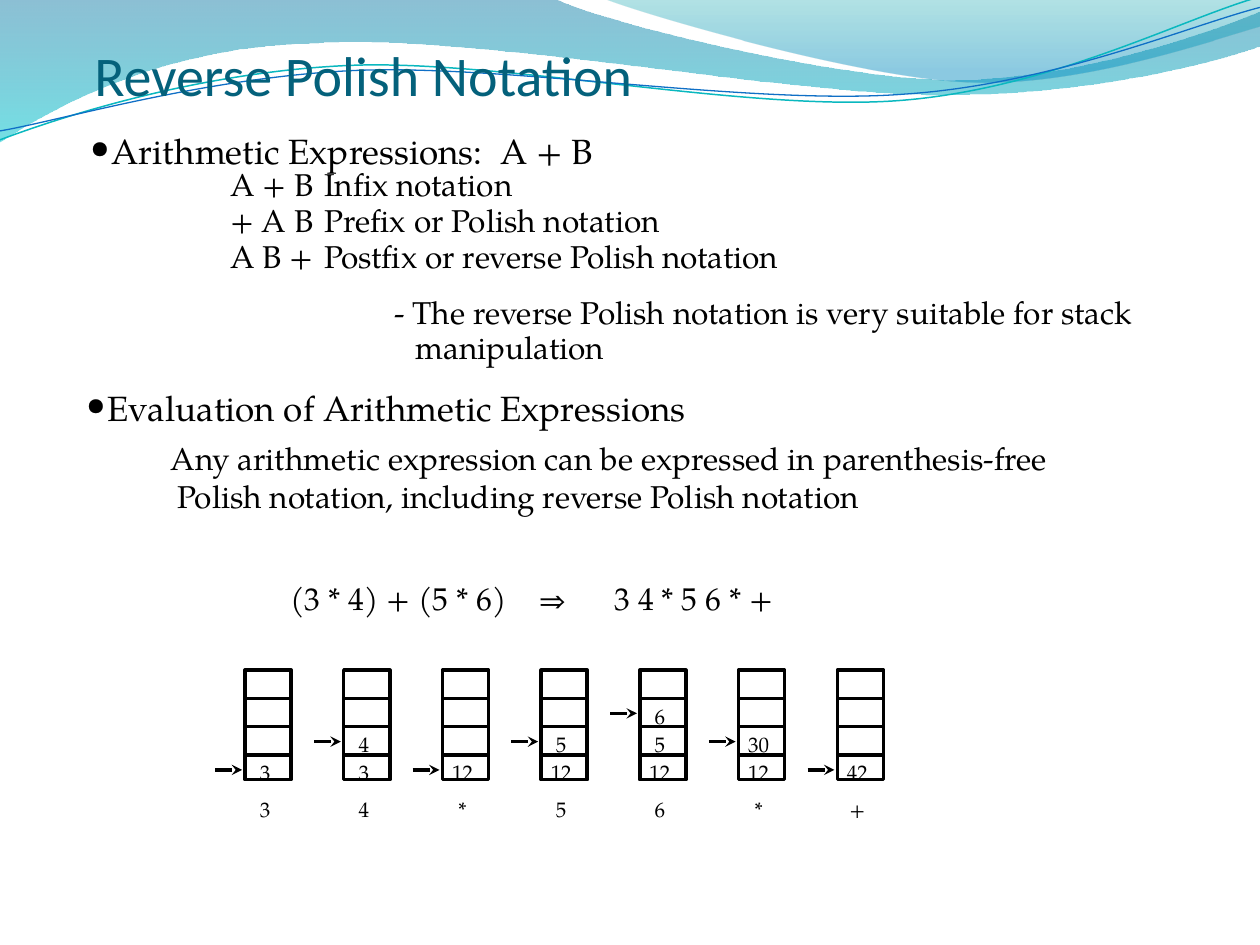
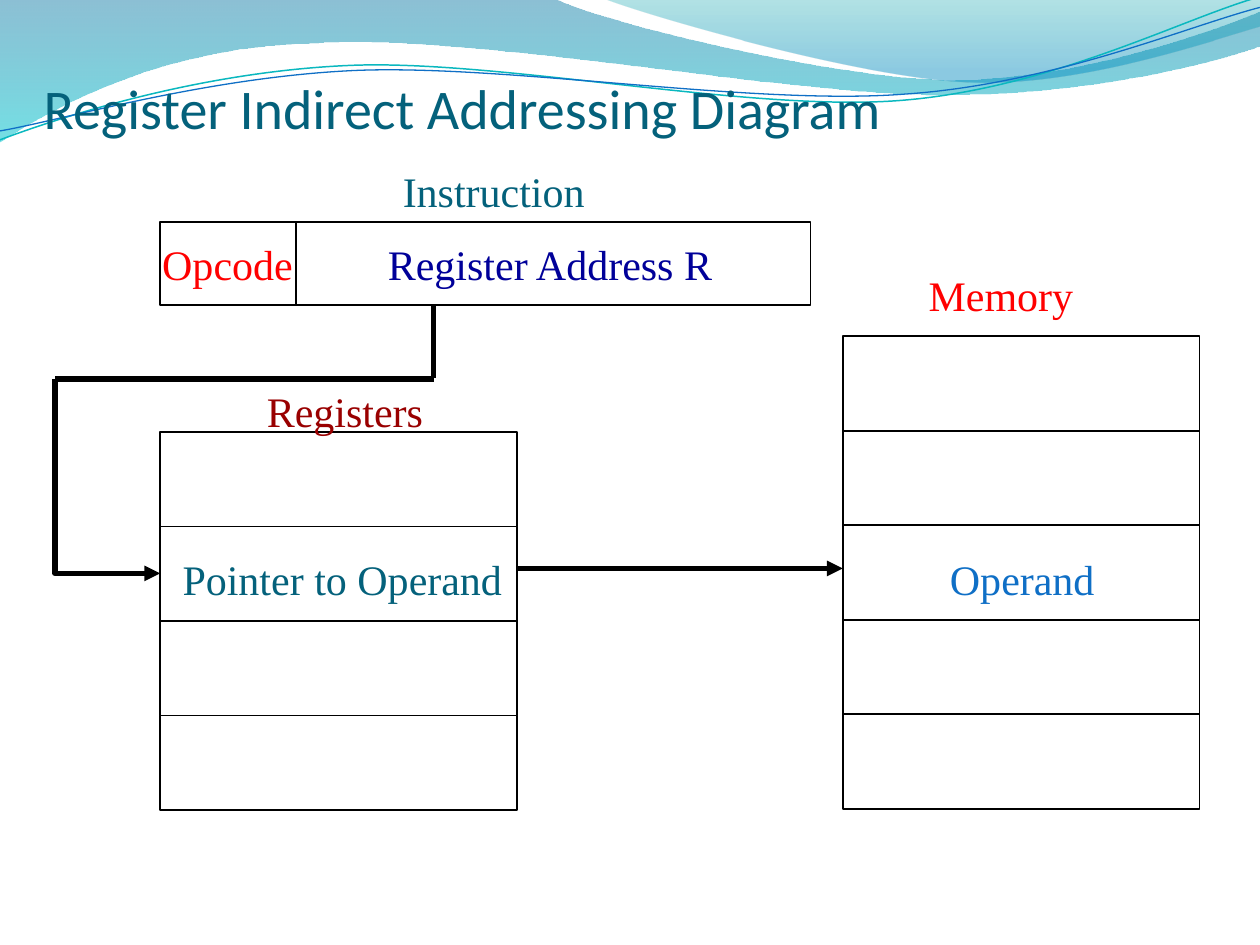
from lxml import etree
from pptx import Presentation
from pptx.dml.color import RGBColor
from pptx.enum.shapes import MSO_CONNECTOR, MSO_SHAPE
from pptx.enum.text import MSO_ANCHOR, MSO_AUTO_SIZE, PP_ALIGN
from pptx.oxml.ns import qn
from pptx.util import Cm, Pt

RECTANGLE = MSO_SHAPE.RECTANGLE
STRAIGHT = MSO_CONNECTOR.STRAIGHT
LEFT, CENTER = PP_ALIGN.LEFT, PP_ALIGN.CENTER
TOP, MIDDLE, BOTTOM = MSO_ANCHOR.TOP, MSO_ANCHOR.MIDDLE, MSO_ANCHOR.BOTTOM
NO_AUTOFIT = MSO_AUTO_SIZE.NONE

TITLE_FONT, BODY_FONT, DIAGRAM_FONT = "Calibri", "TeX Gyre Pagella", "Times New Roman"
BLACK, TEAL, BLUE, NAVY = "000000", "04617B", "0F6FC6", "000099"
RED, DARK_RED, CYAN = "FF0000", "990000", "0AB8BF"
# Insets in cm: sides, top, bottom
WIDE_INSET, SLIM_INSET, TITLE_INSET = (0.25, 0.13, 0.13), (0.17, 0.07, 0.07), (0, 0.13, 0)
BULLET_INDENT = (0.43, -0.43)
CELL_WIDTH, CELL_HEIGHT = 7.19, 7.62 / 4

# Wave outlines in cm: a start point, then lines (x, y) and curves (six numbers)
WAVE_BANDS = [
    ([(0, 0), (11.18, -0.03), (12.09, 0.43, 16.87, 1.6, 19.25, 1.6),
      (21.67, 1.6, 24.33, 0.66, 25.4, 0.23), (25.43, 0.91),
      (24.97, 1.12, 22.1, 1.93, 18.95, 1.91), (15.8, 1.91, 9.7, 0.71, 6.53, 0.86),
      (3.28, 0.91, 1.17, 2.11, -0.03, 2.87)],
     [(0, "0074A1", 45), (1, "00C6CF", 55)]),
    ([(12.17, -0.03), (12.93, 0.28, 17.32, 1.57, 19.53, 1.65),
      (21.74, 1.75, 24.41, 0.81, 25.4, 0.53), (25.4, 0)],
     [(0, "00A1A9", 30), (0.8, "008BBF", 45)]),
]
WAVE_LINES = [
    ([(0, 2.82), (1.22, 2.36, 4.01, 1.45, 7.04, 1.32),
      (10.03, 1.19, 15.06, 2.26, 18.11, 2.03),
      (21.16, 1.8, 23.83, 0.38, 25.35, -0.05)], CYAN, 0.85),
    ([(0, 2.64), (1.19, 2.44, 4.17, 1.55, 7.19, 1.42),
      (10.24, 1.3, 15.16, 2.13, 18.21, 1.9),
      (21.23, 1.7, 23.93, 0.53, 25.4, 0.15)], BLUE, 0.75),
]


def rgb(value):
    return RGBColor.from_string(value)


def cm_box(box):
    return [Cm(length) for length in box]


# Drawing helpers
def style_line(shape, color=BLACK, width=1, arrow=None):
    shape.line.color.rgb = rgb(color)
    shape.line.width = Pt(width)
    if arrow:
        line = shape.element.find(".//" + qn("a:ln"))
        etree.SubElement(line, qn("a:tailEnd"), type=arrow)


def add_rectangle(slide, box, width=1):
    shape = slide.shapes.add_shape(RECTANGLE, *cm_box(box))
    shape.shadow.inherit = False
    shape.fill.background()
    style_line(shape, width=width)


def add_line(slide, start, end, width, arrow=None):
    connector = slide.shapes.add_connector(STRAIGHT, *cm_box(start + end))
    style_line(connector, width=width, arrow=arrow)
    properties = connector.element.find(qn("p:spPr"))
    etree.SubElement(properties, qn("a:effectLst"))


def add_outline(slide, segments, close=False):
    points = [cm_box(segment[index:index + 2])
              for segment in segments for index in range(0, len(segment), 2)]
    builder = slide.shapes.build_freeform(*points[0])
    builder.add_line_segments(points[1:], close=close)
    shape = builder.convert_to_shape()
    shape.shadow.inherit = False
    shape.fill.background()
    # Three points of a six-number segment become one curve
    steps = iter(list(shape.element.iter(qn("a:lnTo"))))
    for segment in segments[1:]:
        step = next(steps)
        if len(segment) == 6:
            step.tag = qn("a:cubicBezTo")
            for other in (next(steps), next(steps)):
                step.append(other[0])
                other.getparent().remove(other)
    return shape


# Text helpers
def set_frame(frame, inset, wrap, anchor):
    frame.auto_size = NO_AUTOFIT
    frame.word_wrap = wrap
    frame.vertical_anchor = anchor
    frame.margin_left = frame.margin_right = Cm(inset[0])
    frame.margin_top, frame.margin_bottom = Cm(inset[1]), Cm(inset[2])


def add_run(paragraph, text, size, font, color, tracking=0):
    run = paragraph.add_run()
    run.text = text
    run.font.size = Pt(size)
    run.font.name = font
    run.font.color.rgb = rgb(color)
    if tracking:
        run.font._element.set("spc", str(int(tracking * 100)))


def format_paragraph(paragraph, indent, bullet, tabs):
    properties = paragraph._p.get_or_add_pPr()
    properties.set("marL", str(Cm(indent[0])))
    properties.set("indent", str(Cm(indent[1])))
    if bullet:
        etree.SubElement(properties, qn("a:buFont"), typeface=BODY_FONT)
        etree.SubElement(properties, qn("a:buChar"), char=bullet)
    if tabs:
        tab_list = etree.SubElement(properties, qn("a:tabLst"))
        for position in tabs:
            etree.SubElement(tab_list, qn("a:tab"), pos=str(Cm(position)), algn="l")


def add_text(slide, box, lines, size, font=BODY_FONT, color=BLACK, inset=SLIM_INSET,
             wrap=True, align=LEFT, spacing=1.0, indents=((0, 0),), bullet=None, tabs=()):
    """Each line is a string or a list of (text, letter spacing) runs."""
    frame = slide.shapes.add_textbox(*cm_box(box)).text_frame
    set_frame(frame, inset, wrap, TOP)
    for index, line in enumerate(lines):
        paragraph = frame.add_paragraph() if index else frame.paragraphs[0]
        paragraph.alignment = align
        paragraph.line_spacing = spacing
        format_paragraph(paragraph, indents[index % len(indents)], bullet, tabs)
        for text, tracking in [(line, 0)] if isinstance(line, str) else line:
            add_run(paragraph, text, size, font, color, tracking)


def add_label(slide, box, text, color):
    add_text(slide, box, [text], 24, DIAGRAM_FONT, color, WIDE_INSET, wrap=False)


# Shared look
def add_waves(slide, layout):
    shapes = []
    for segments, stops in WAVE_BANDS:
        shape = add_outline(slide, segments, close=True)
        shape.line.fill.background()
        shape.fill.gradient()
        shape.fill.gradient_angle = 270
        for stop, (position, color, opacity) in zip(shape.fill.gradient_stops, stops):
            stop.position = position
            stop.color.rgb = rgb(color)
        colors = shape.element.find(".//" + qn("a:gradFill")).iter(qn("a:srgbClr"))
        for element, (position, color, opacity) in zip(list(colors), stops):
            etree.SubElement(element, qn("a:alpha"), val=str(opacity * 1000))
        shapes.append(shape)
    for segments, color, width in WAVE_LINES:
        shape = add_outline(slide, segments)
        style_line(shape, color, width)
        shapes.append(shape)
    # The layout carries the waves for every slide
    for number, shape in enumerate(shapes, 101):
        shape.element.find(".//" + qn("p:cNvPr")).set("id", str(number))
        layout.shapes.element.append(shape.element)


def add_title(slide, box, text, inset, anchor):
    title = slide.shapes.title
    title.left, title.top, title.width, title.height = cm_box(box)
    set_frame(title.text_frame, inset, True, anchor)
    paragraph = title.text_frame.paragraphs[0]
    paragraph.alignment = LEFT
    add_run(paragraph, text, 32, TITLE_FONT, TEAL)


# Reverse Polish Notation
def add_notations(slide, left, top):
    add_text(slide, (left, top, 11.25, 1.02), ["Arithmetic Expressions:\tA + B"], 20,
             inset=WIDE_INSET, indents=[BULLET_INDENT], bullet="•", tabs=[8.27])
    add_text(slide, (left + 2.9, top + 0.81, 19.25, 2.34),
             ["A + B\tInfix notation", "+ A B\tPrefix or Polish notation",
              "A B +\tPostfix or reverse Polish notation"],
             18, spacing=0.96, indents=[(1.9, -1.9)])
    add_text(slide, (left + 5.57, top + 3.4, 17.4, 2.67),
             ["- The reverse Polish notation is very suitable for stack manipulation"],
             18, spacing=0.94, indents=[(1.07, -0.43)])


def add_evaluation(slide, left, top):
    add_text(slide, (left, top, 13.28, 0.86), ["Evaluation of Arithmetic Expressions"],
             20, spacing=0.85, indents=[BULLET_INDENT], bullet="•")
    add_text(slide, (left + 1.38, top + 0.94, 20.17, 1.52),
             ["Any arithmetic expression can be expressed in parenthesis-free",
              "Polish notation, including reverse Polish notation"],
             18, indents=[(0.32, 0), (0.46, 0)])
    add_text(slide, (left + 4.12, top + 3.81, 10.26, 0.86),
             [[("(3 * 4) + (5 * 6)", 0), (" ", 13.5), ("⇒", 0), (" ", 22.5),
               ("3 4 * 5 6 * +", 0)]], 18, spacing=0.96)


def add_stack(slide, left, top, token, values):
    width, height, row = 0.93, 2.21, 0.57

    def add_symbol(text, symbol_top):
        add_text(slide, (left - 0.08, symbol_top, 0.97, 0.71), [text], 12,
                 inset=WIDE_INSET, wrap=False, align=CENTER)

    add_rectangle(slide, (left, top, width, height), 2)
    for index in range(1, 4):
        y = top + index * row
        add_line(slide, (left, y), (left + width, y), 2)
    for level, value in enumerate(values):
        add_symbol(value, top + 1.68 - level * row)
    pointer_y = top + 2.01 - (len(values) - 1) * row
    add_line(slide, (left - 0.6, pointer_y), (left - 0.06, pointer_y), 2, "stealth")
    add_symbol(token, top + 2.42)


def build_notation_slide(slide):
    add_title(slide, (1.9, 0.71, 20.47, 1.45), "Reverse Polish Notation", TITLE_INSET, MIDDLE)
    add_notations(slide, 1.57, 2.49)
    add_evaluation(slide, 1.57, 7.85)
    steps = [("3", ["3"]), ("4", ["3", "4"]), ("*", ["12"]), ("5", ["12", "5"]),
             ("6", ["12", "5", "6"]), ("*", ["12", "30"]), ("+", ["42"])]
    for index, (token, values) in enumerate(steps):
        add_stack(slide, 4.94 + index * 1.99, 13.51, token, values)


# Register Indirect Addressing Diagram
def add_instruction(slide, left, top):
    add_rectangle(slide, (left, top, 13.11, 1.68))
    add_line(slide, (left + 2.74, top), (left + 2.74, top + 1.68), 1)
    add_label(slide, (left + 4.34, top + 0.2, 7.52, 1.27), "Register Address R", NAVY)
    add_label(slide, (left - 0.21, top + 0.2, 3.18, 1.27), "Opcode", RED)
    add_label(slide, (left + 4.64, top - 1.27, 4.55, 1.27), "Instruction", TEAL)


def add_cells(slide, left, top, count, labels):
    for index in range(count):
        add_rectangle(slide, (left, top + index * CELL_HEIGHT, CELL_WIDTH, CELL_HEIGHT))
    for x, y, width, text, color in labels:
        add_label(slide, (left + x, top + y, width, 1.27), text, color)


def build_addressing_slide(slide):
    add_title(slide, (0.63, 1.57, 22.86, 1.4), "Register Indirect Addressing Diagram",
              WIDE_INSET, BOTTOM)
    add_instruction(slide, 3.23, 4.47)
    add_cells(slide, 16.99, 6.78, 5, [(1.48, -1.47, 3.45, "Memory", RED),
                                      (1.91, 4.24, 3.76, "Operand", BLUE)])
    add_cells(slide, 3.23, 8.71, 4, [(1.9, -1.06, 3.84, "Registers", DARK_RED),
                                     (0.2, 2.31, 7.54, "Pointer to Operand", TEAL)])
    # Route from the instruction to the register, then to memory
    add_line(slide, (8.74, 6.17), (8.74, 7.63), 3)
    add_line(slide, (8.74, 7.64), (1.1, 7.64), 3)
    elbow = add_outline(slide, [(1.11, 7.64), (1.11, 11.56), (3.23, 11.56)])
    style_line(elbow, width=3, arrow="triangle")
    add_line(slide, (10.42, 11.46), (16.99, 11.46), 3, "triangle")


def main():
    presentation = Presentation()
    presentation.slide_width, presentation.slide_height = Cm(25.4), Cm(19.05)
    layout = presentation.slide_layouts.get_by_name("Title Only")
    for index, build in enumerate([build_notation_slide, build_addressing_slide]):
        slide = presentation.slides.add_slide(layout)
        if index == 0:
            add_waves(slide, layout)
        build(slide)
    presentation.save("out.pptx")


if __name__ == "__main__":
    main()
